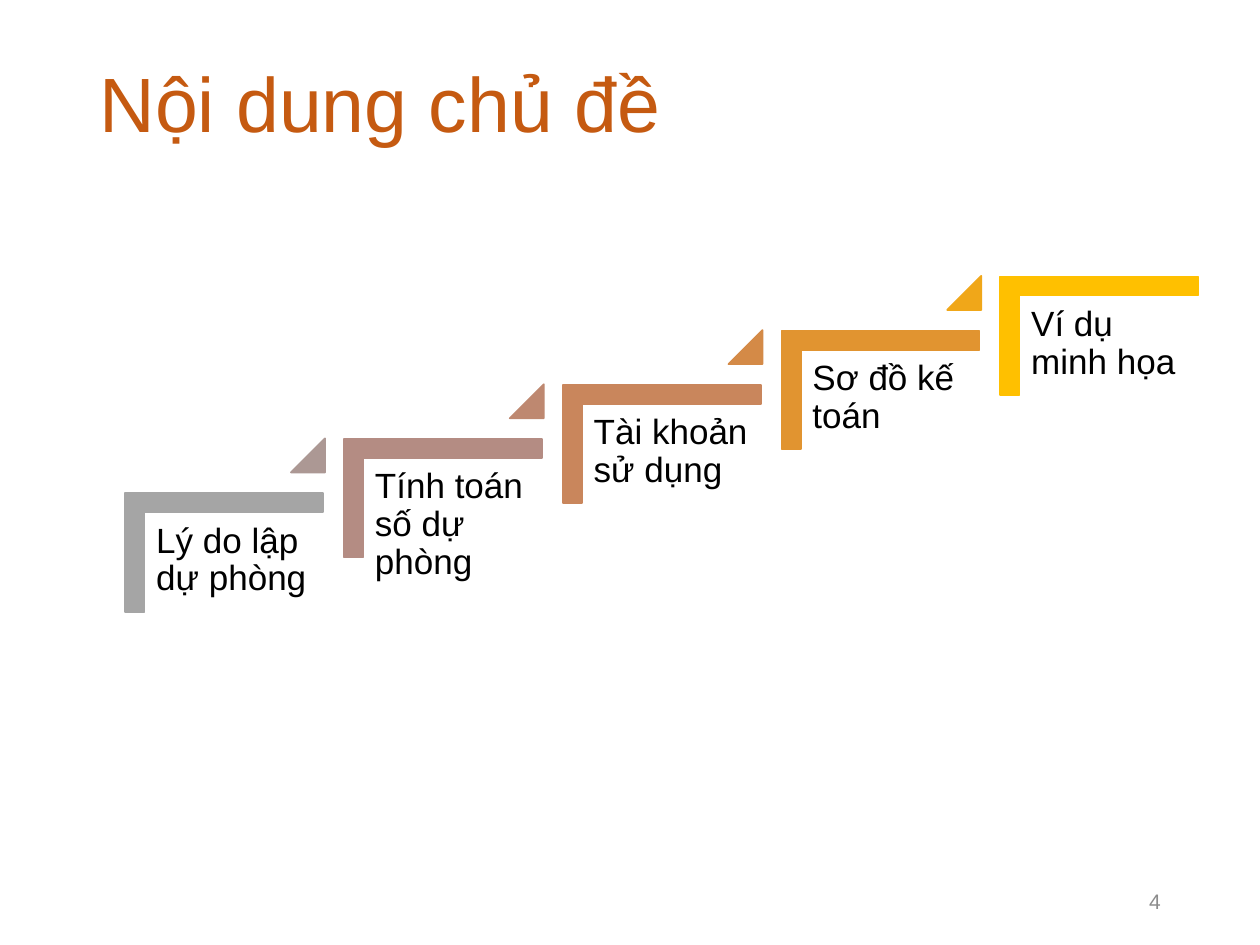
from pptx import Presentation
from pptx.dml.color import RGBColor
from pptx.enum.shapes import MSO_SHAPE
from pptx.enum.text import MSO_ANCHOR, PP_ALIGN
from pptx.util import Inches, Pt

TITLE_COLOR = RGBColor(0xC5, 0x5A, 0x11)
BLACK = RGBColor(0x00, 0x00, 0x00)
NUMBER_GRAY = RGBColor(0x8C, 0x8C, 0x8C)

# Each step: label, corner colour, colour of the triangle leading to the next step
STEPS = [
    ("Lý do lập dự phòng", RGBColor(0xA5, 0xA5, 0xA5), RGBColor(0xAC, 0x98, 0x94)),
    ("Tính toán số dự phòng", RGBColor(0xB4, 0x8C, 0x83), RGBColor(0xBE, 0x88, 0x70)),
    ("Tài khoản sử dụng", RGBColor(0xC9, 0x86, 0x5C), RGBColor(0xD4, 0x8A, 0x47)),
    ("Sơ đồ kế toán", RGBColor(0xE1, 0x94, 0x30), RGBColor(0xF0, 0xA7, 0x19)),
    ("Ví dụ minh họa", RGBColor(0xFF, 0xC0, 0x00), None),
]
STEP_RIGHT, STEP_UP = 1.736, 0.43


def write_text(shape, text, size, color, anchor, align=PP_ALIGN.LEFT, spacing=0.9):
    frame = shape.text_frame
    frame.word_wrap = True
    frame.vertical_anchor = anchor
    paragraph = frame.paragraphs[0]
    paragraph.text = text
    paragraph.alignment = align
    paragraph.line_spacing = spacing
    paragraph.font.color.rgb = color
    for name, value in {"name": "Arial", "size": Pt(size)}.items():
        setattr(paragraph.font, name, value)


def add_solid(kind, left, top, width, height, color, adjustments):
    shape = slide.shapes.add_shape(
        kind, Inches(left), Inches(top), Inches(width), Inches(height))
    shape.shadow.inherit = False
    shape.fill.solid()
    shape.fill.fore_color.rgb = color
    shape.line.color.rgb = color
    shape.line.width = Pt(1)
    for index, value in enumerate(adjustments):
        shape.adjustments[index] = value
    return shape


presentation = Presentation()
presentation.slide_width = Inches(10)
presentation.slide_height = Inches(7.5)
slide = presentation.slides.add_slide(presentation.slide_layouts[5])

# Title
title = slide.shapes.title
frame_values = {"left": 0.69, "top": 0.39, "width": 8.62, "height": 0.93}
for name, value in frame_values.items():
    setattr(title, name, Inches(value))
write_text(title, "Nội dung chủ đề", 44, TITLE_COLOR, MSO_ANCHOR.MIDDLE)

# Rising staircase
for index, (label, corner_color, triangle_color) in enumerate(STEPS):
    dx, dy = index * STEP_RIGHT, -index * STEP_UP
    corner = add_solid(MSO_SHAPE.CORNER, 1.31 + dx, 3.6 + dy, 0.94, 1.57,
                       corner_color, [0.161, 0.161])
    corner.rotation = 90

    label_box = slide.shapes.add_textbox(
        Inches(1.16 + dx), Inches(4.07 + dy), Inches(1.42), Inches(1.24))
    for side in ("left", "top", "right", "bottom"):
        setattr(label_box.text_frame, f"margin_{side}", Inches(0.08))
    write_text(label_box, label, 20, BLACK, MSO_ANCHOR.TOP)

    if triangle_color is not None:
        add_solid(MSO_SHAPE.ISOSCELES_TRIANGLE, 2.31 + dx, 3.48 + dy, 0.27, 0.27,
                  triangle_color, [1])

# Slide number
number_box = slide.shapes.add_textbox(
    Inches(7.06), Inches(6.95), Inches(2.25), Inches(0.4))
write_text(number_box, "4", 12, NUMBER_GRAY, MSO_ANCHOR.MIDDLE, PP_ALIGN.RIGHT, 1.0)

presentation.save("out.pptx")
